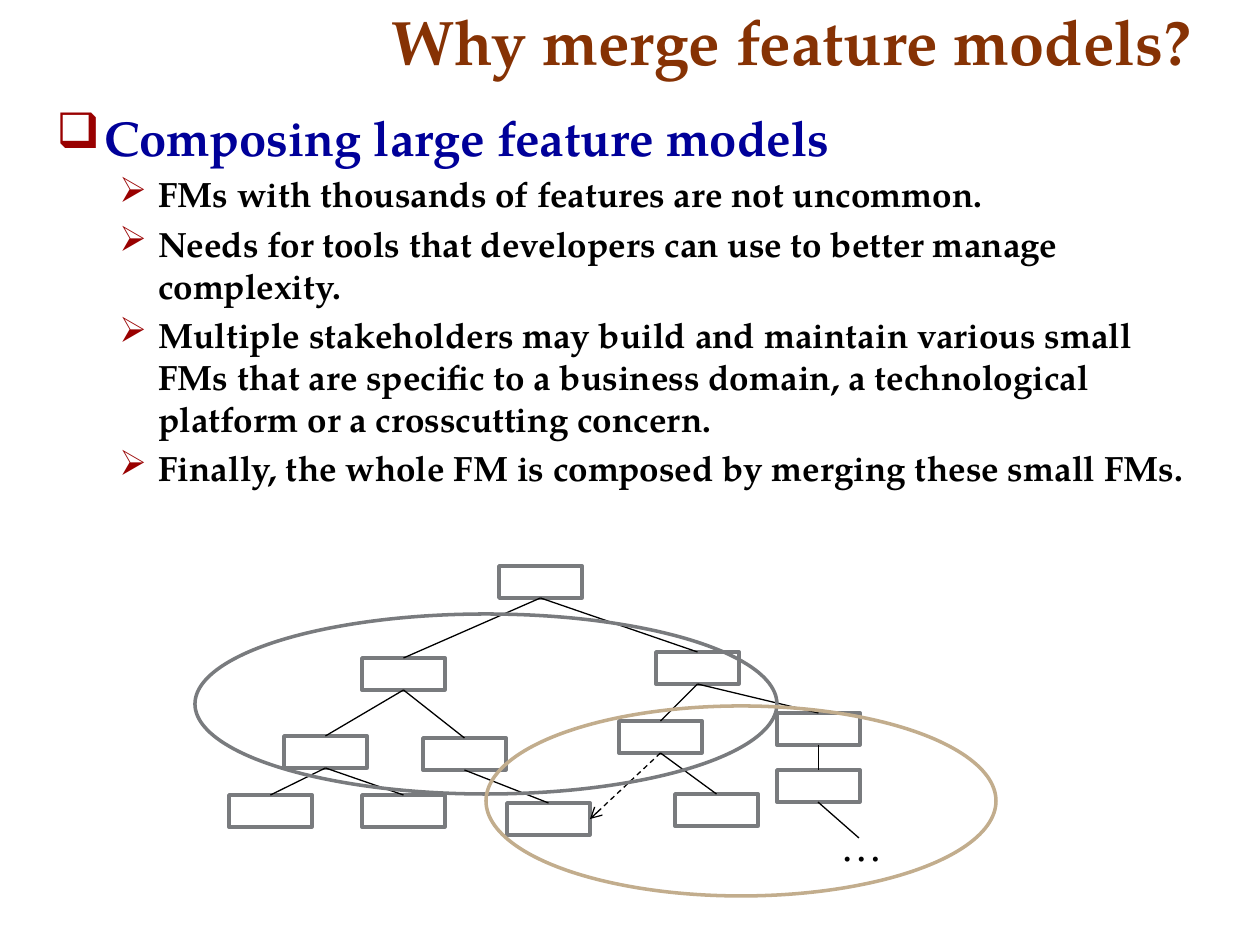
from dataclasses import dataclass

from lxml import etree
from pptx import Presentation
from pptx.dml.color import RGBColor
from pptx.enum.dml import MSO_LINE
from pptx.enum.shapes import MSO_CONNECTOR, MSO_SHAPE
from pptx.enum.text import MSO_ANCHOR
from pptx.oxml.ns import qn
from pptx.util import Emu, Pt

RECTANGLE = MSO_SHAPE.RECTANGLE
OVAL = MSO_SHAPE.OVAL
STRAIGHT = MSO_CONNECTOR.STRAIGHT
DASH = MSO_LINE.DASH
TOP_ANCHOR = MSO_ANCHOR.TOP
BOTTOM_ANCHOR = MSO_ANCHOR.BOTTOM

BROWN = RGBColor(0x86, 0x32, 0x04)
BLUE = RGBColor(0x00, 0x00, 0x99)
RED = RGBColor(0x99, 0x00, 0x00)
BLACK = RGBColor(0x00, 0x00, 0x00)
WHITE = RGBColor(0xFF, 0xFF, 0xFF)
GRAY = RGBColor(0x79, 0x7B, 0x7E)
TAN = RGBColor(0xC2, 0xAD, 0x8D)

SERIF = "TeX Gyre Pagella"
TIMES = "Times New Roman"
PIXELS_PER_INCH = 126
BOX_WIDTH, BOX_HEIGHT = 83, 32
TOP, BOTTOM, RIGHT = 0, 2, 3


@dataclass(frozen=True)
class Area:
    left: int
    top: int
    width: int
    height: int


@dataclass(frozen=True)
class Bullet:
    character: str
    margin: int
    hanging: int


@dataclass(frozen=True)
class Feature:
    name: str
    left: int
    top: int
    parent: str = ""


FEATURES = [
    Feature("root", 499, 566),
    Feature("left", 362, 658, "root"),
    Feature("left first", 284, 736, "left"),
    Feature("left second", 423, 738, "left"),
    Feature("left first second", 362, 795, "left first"),
    Feature("left first first", 229, 795, "left first"),
    Feature("right", 656, 652, "root"),
    Feature("right first", 619, 721, "right"),
    Feature("right second child", 777, 770, "right second"),
    Feature("right first child", 675, 794, "right first"),
    Feature("right second", 777, 713, "right"),
    Feature("left second child", 507, 803, "left second"),
]
HEADING_BULLET = Bullet("❑", 48, 48)
POINT_BULLET = Bullet("➢", 102, 39)
POINTS = [
    "FMs with thousands of features are not uncommon.",
    "Needs for tools that developers can use to better manage complexity.",
    "Multiple stakeholders may build and maintain various small FMs that are specific "
    "to a business domain, a technological platform or a crosscutting concern.",
    "Finally, the whole FM is composed by merging these small FMs.",
]


def px(length: int) -> Emu:
    return Emu(round(length * 914400 / PIXELS_PER_INCH))


def place(area: Area) -> list[Emu]:
    return [px(area.left), px(area.top), px(area.width), px(area.height)]


def add_text_box(slide, area: Area, anchor=TOP_ANCHOR, wrap: bool = True):
    text_frame = slide.shapes.add_textbox(*place(area)).text_frame
    text_frame.word_wrap = wrap
    text_frame.vertical_anchor = anchor
    return text_frame


def add_bullet(paragraph, bullet: Bullet) -> None:
    properties = paragraph._p.get_or_add_pPr()
    properties.set("marL", str(px(bullet.margin)))
    properties.set("indent", str(-px(bullet.hanging)))
    color = etree.SubElement(properties, qn("a:buClr"))
    etree.SubElement(color, qn("a:srgbClr"), val=str(RED))
    etree.SubElement(properties, qn("a:buChar"), char=bullet.character)


def write(text_frame, text: str, *, size: int, color: RGBColor, font: str = SERIF,
          bold: bool = True, bullet: Bullet | None = None, level: int = 0) -> None:
    paragraph = text_frame.paragraphs[0]
    if paragraph.runs:
        paragraph = text_frame.add_paragraph()
        paragraph.space_before = Pt(size * 0.2)
    paragraph.level = level
    if bullet:
        add_bullet(paragraph, bullet)
    run = paragraph.add_run()
    run.text = text
    run.font.name = font
    run.font.size = Pt(size)
    run.font.bold = bold
    run.font.color.rgb = color


def add_outline(slide, kind, area: Area, color: RGBColor, fill: RGBColor | None = None):
    shape = slide.shapes.add_shape(kind, *place(area))
    shape.shadow.inherit = False
    if fill is None:
        shape.fill.background()
    else:
        shape.fill.solid()
        shape.fill.fore_color.rgb = fill
    shape.line.color.rgb = color
    shape.line.width = Pt(2)
    return shape


def add_line(slide, start=(0, 0), end=(0, 0)):
    connector = slide.shapes.add_connector(STRAIGHT, *map(px, (*start, *end)))
    connector.line.color.rgb = BLACK
    connector.line.width = Pt(0.75)
    etree.SubElement(connector._element.spPr, qn("a:effectLst"))
    return connector


def join(slide, parent, child, child_side: int = TOP):
    connector = add_line(slide)
    connector.begin_connect(parent, BOTTOM)
    connector.end_connect(child, child_side)
    return connector


def draw_feature_tree(slide) -> None:
    boxes = {
        feature.name: add_outline(
            slide, RECTANGLE, Area(feature.left, feature.top, BOX_WIDTH, BOX_HEIGHT), GRAY, WHITE)
        for feature in FEATURES
    }
    for feature in FEATURES:
        if feature.parent:
            join(slide, boxes[feature.parent], boxes[feature.name])
    add_line(slide, (818, 802), (859, 838))

    dependency = join(slide, boxes["right first"], boxes["left second child"], RIGHT)
    dependency.line.dash_style = DASH
    etree.SubElement(dependency.line._get_or_add_ln(), qn("a:tailEnd"), type="arrow")

    add_outline(slide, OVAL, Area(195, 614, 582, 180), GRAY)
    add_outline(slide, OVAL, Area(486, 706, 510, 190), TAN)
    more = add_text_box(slide, Area(828, 813, 68, 63), wrap=False)
    write(more, "…", size=24, color=BLACK, font=TIMES, bold=False)


def main() -> None:
    presentation = Presentation()
    presentation.slide_width, presentation.slide_height = px(1260), px(945)
    slide = presentation.slides.add_slide(presentation.slide_layouts[6])

    title = add_text_box(slide, Area(379, -4, 862, 88), BOTTOM_ANCHOR)
    write(title, "Why merge feature models?", size=36, color=BROWN)

    body = add_text_box(slide, Area(44, 101, 1163, 718))
    write(body, "Composing large feature models", size=28, color=BLUE, bullet=HEADING_BULLET)
    for point in POINTS:
        write(body, point, size=20, color=BLACK, bullet=POINT_BULLET, level=1)

    draw_feature_tree(slide)
    presentation.save("out.pptx")


if __name__ == "__main__":
    main()
